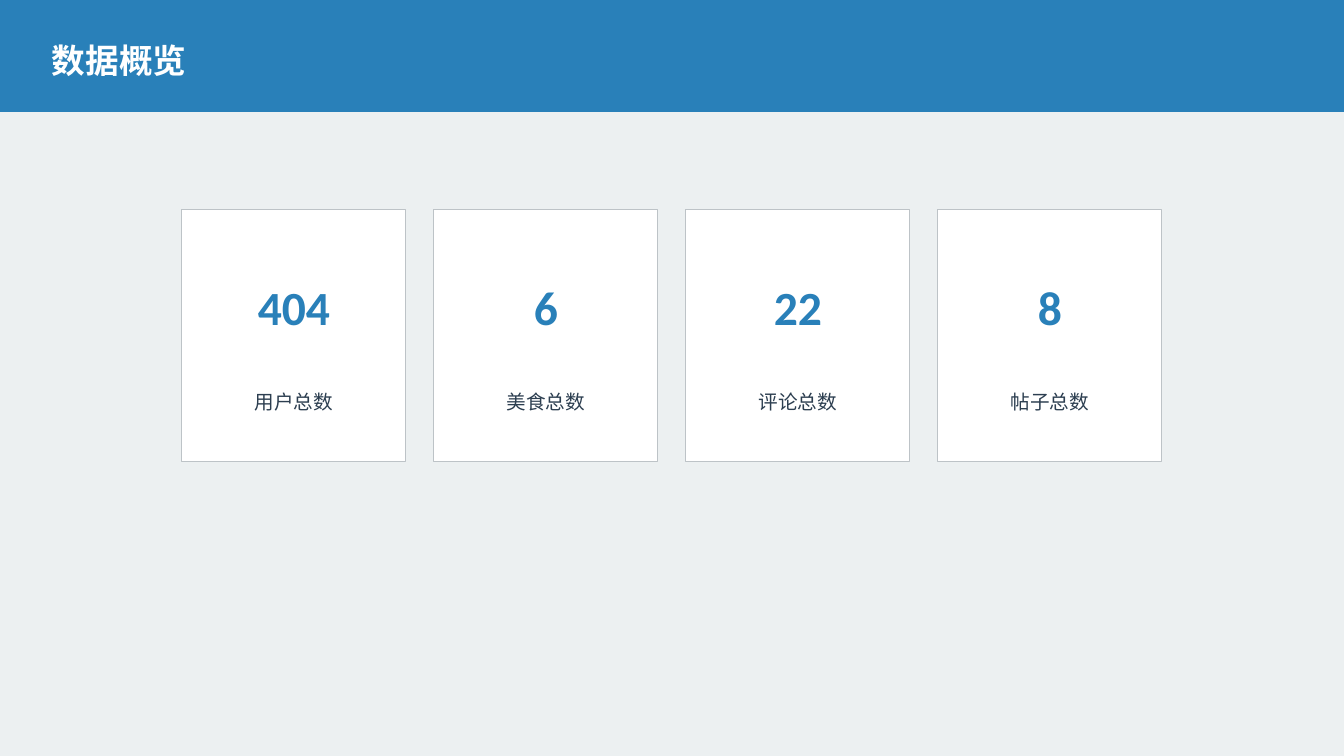
from dataclasses import dataclass

import pptx
import pptx.dml.color
import pptx.enum.shapes
import pptx.enum.text
import pptx.slide
import pptx.util

Pt = pptx.util.Pt
RGBColor = pptx.dml.color.RGBColor
Align = pptx.enum.text.PP_ALIGN

BACKGROUND = RGBColor(0xEC, 0xF0, 0xF1)
BLUE = RGBColor(0x29, 0x80, 0xB9)
WHITE = RGBColor(0xFF, 0xFF, 0xFF)
BORDER = RGBColor(0xBD, 0xC3, 0xC7)
DARK = RGBColor(0x2C, 0x3E, 0x50)

FONT = "Calibri"
SLIDE_WIDTH, SLIDE_HEIGHT = 960, 540
CARD_LEFT, CARD_TOP = 130, 150
CARD_WIDTH, CARD_HEIGHT = 160, 180
CARD_STEP = 180


@dataclass(frozen=True)
class Box:
    """A rectangle on the slide, in points."""
    left: float
    top: float
    width: float
    height: float

    def lengths(self) -> tuple:
        return Pt(self.left), Pt(self.top), Pt(self.width), Pt(self.height)


@dataclass(frozen=True)
class TextStyle:
    size: float
    color: RGBColor
    bold: bool
    alignment: Align


@dataclass(frozen=True)
class Metric:
    value: str
    label: str


TITLE = TextStyle(24, WHITE, True, Align.LEFT)
VALUE = TextStyle(34, BLUE, True, Align.CENTER)
LABEL = TextStyle(14, DARK, False, Align.CENTER)

METRICS = [
    Metric("404", "用户总数"),
    Metric("6", "美食总数"),
    Metric("22", "评论总数"),
    Metric("8", "帖子总数"),
]


def add_rectangle(slide: pptx.slide.Slide, box: Box, fill: RGBColor, line: RGBColor) -> None:
    shape = slide.shapes.add_shape(
        pptx.enum.shapes.MSO_SHAPE.RECTANGLE, *box.lengths())
    shape.shadow.inherit = False
    shape.fill.solid()
    shape.fill.fore_color.rgb = fill
    shape.line.color.rgb = line
    shape.line.width = Pt(0.75)


def add_text(slide: pptx.slide.Slide, box: Box, text: str, style: TextStyle) -> None:
    frame = slide.shapes.add_textbox(*box.lengths()).text_frame
    frame.word_wrap = True
    paragraph = frame.paragraphs[0]
    paragraph.text = text
    paragraph.alignment = style.alignment
    paragraph.font.name = FONT
    paragraph.font.size = Pt(style.size)
    paragraph.font.bold = style.bold
    paragraph.font.color.rgb = style.color


def add_card(slide: pptx.slide.Slide, left: float, metric: Metric) -> None:
    add_rectangle(slide, Box(left, CARD_TOP, CARD_WIDTH, CARD_HEIGHT), WHITE, BORDER)
    add_text(slide, Box(left, CARD_TOP + 45, CARD_WIDTH, 55), metric.value, VALUE)
    add_text(slide, Box(left, CARD_TOP + 125, CARD_WIDTH, 30), metric.label, LABEL)


def main() -> None:
    presentation = pptx.Presentation()
    presentation.slide_width = Pt(SLIDE_WIDTH)
    presentation.slide_height = Pt(SLIDE_HEIGHT)
    slide = presentation.slides.add_slide(presentation.slide_layouts[6])

    add_rectangle(slide, Box(0, 0, SLIDE_WIDTH, SLIDE_HEIGHT), BACKGROUND, BACKGROUND)
    add_rectangle(slide, Box(0, 0, SLIDE_WIDTH, 80), BLUE, BLUE)
    add_text(slide, Box(30, 25, 900, 45), "数据概览", TITLE)

    for index, metric in enumerate(METRICS):
        add_card(slide, CARD_LEFT + index * CARD_STEP, metric)

    presentation.save("out.pptx")


if __name__ == "__main__":
    main()
